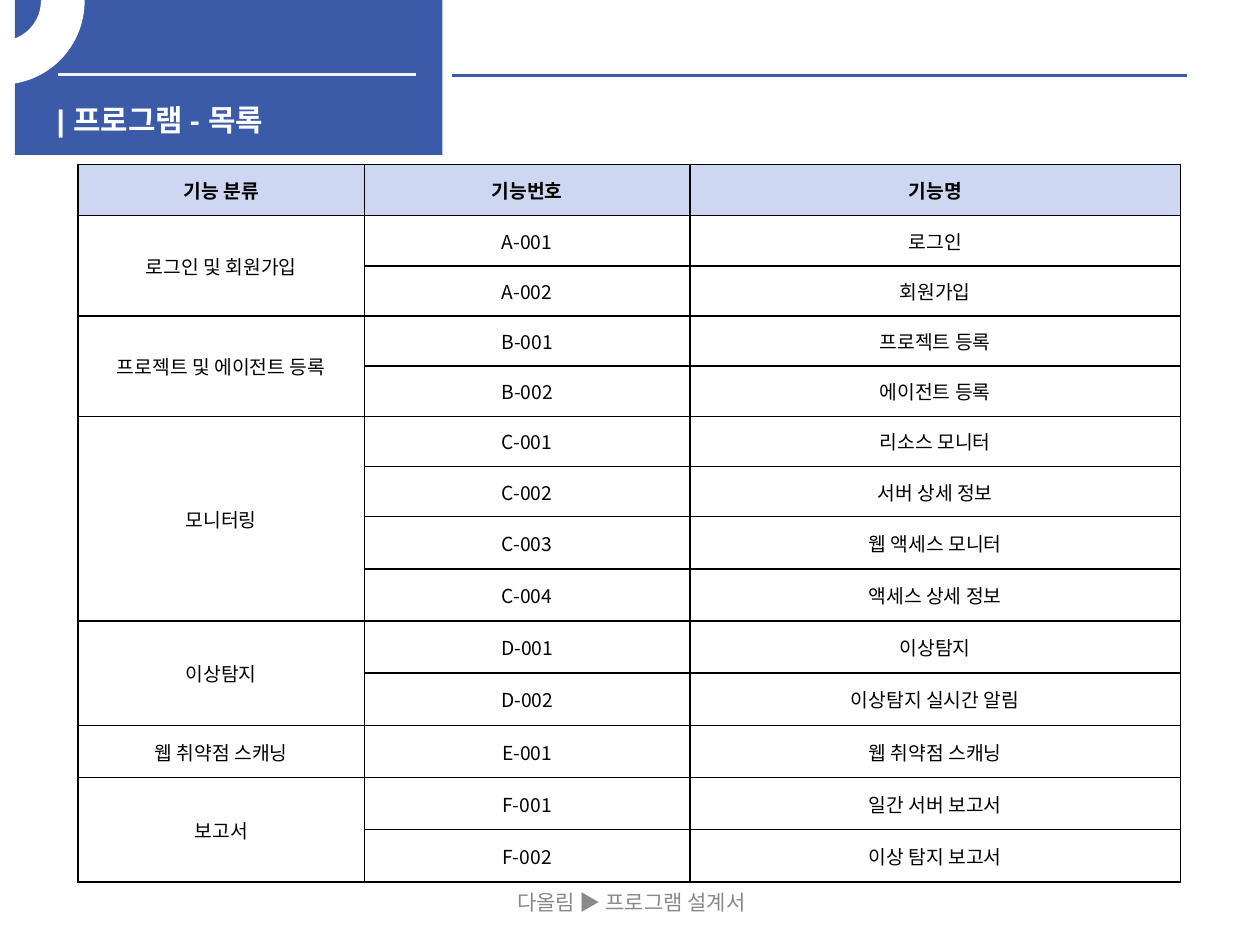
from math import cos, pi, sin

from lxml.etree import SubElement
from pptx import Presentation
from pptx.dml.color import RGBColor
from pptx.enum.shapes import MSO_CONNECTOR, MSO_SHAPE
from pptx.enum.text import MSO_ANCHOR, PP_ALIGN
from pptx.oxml.ns import qn
from pptx.util import Cm, Pt

BLUE, WHITE, BLACK = "3B5AA8", "FFFFFF", "000000"
KOREAN = "Noto Sans CJK KR"

HEADINGS = ["기능 분류", "기능번호", "기능명"]
CATEGORIES = [
    ("로그인 및 회원가입", "A", ["로그인", "회원가입"]),
    ("프로젝트 및 에이전트 등록", "B", ["프로젝트 등록", "에이전트 등록"]),
    ("모니터링", "C", ["리소스 모니터", "서버 상세 정보",
                   "웹 액세스 모니터", "액세스 상세 정보"]),
    ("이상탐지", "D", ["이상탐지", "이상탐지 실시간 알림"]),
    ("웹 취약점 스캐닝", "E", ["웹 취약점 스캐닝"]),
    ("보고서", "F", ["일간 서버 보고서", "이상 탐지 보고서"]),
]
COLUMN_WIDTHS = [5.77, 6.55, 9.88]
ROW_HEIGHTS = [1.03] + [1.01] * 6 + [1.05] * 7


def color(code):
    return RGBColor.from_string(code)


def apply(target, values):
    for name, value in values.items():
        setattr(target, name, value)


class SlideBuilder:
    title_style = {"name": "Arial", "size": Pt(17), "bold": True}
    footer_style = {"name": KOREAN, "size": Pt(12), "bold": False}
    heading_style = {"name": KOREAN, "size": Pt(11), "bold": True}
    body_style = heading_style | {"bold": False}

    def __init__(self, slide):
        self.slide = slide
        self.shapes = slide.shapes

    def add_words(self, frame, content, style, code, align=PP_ALIGN.CENTER):
        paragraph = frame.paragraphs[0]
        paragraph.alignment = align
        run = paragraph.add_run()
        run.text = content
        apply(run.font, style)
        run.font.color.rgb = color(code)
        SubElement(run.font._element, qn("a:ea"), typeface=KOREAN)

    def text(self, box, content, style, code, align, anchor):
        frame = self.shapes.add_textbox(*map(Cm, box)).text_frame
        apply(frame, {"word_wrap": True, "vertical_anchor": anchor})
        self.add_words(frame, content, style, code, align)

    def paint(self, shape, code):
        shape.shadow.inherit = False
        shape.fill.solid()
        shape.fill.fore_color.rgb = color(code)

    def band(self, box, code):
        panel = self.shapes.add_shape(MSO_SHAPE.RECTANGLE, *map(Cm, box))
        self.paint(panel, code)
        panel.line.fill.background()

    def rule(self, left, right, height, code):
        stroke = self.shapes.add_connector(
            MSO_CONNECTOR.STRAIGHT, Cm(left), Cm(height), Cm(right), Cm(height))
        stroke.line.width = Pt(2.25)
        stroke.line.color.rgb = color(code)
        SubElement(stroke._element.spPr, qn("a:effectLst"))

    def quarter_ring(self, center, outer, inner, code, steps=30):
        angles = [pi / 2 * step / steps for step in range(steps + 1)]
        arcs = [(outer, angles[::-1]), (inner, angles)]
        outline = [(Cm(center + radius * cos(angle)), Cm(center + radius * sin(angle)))
                   for radius, sweep in arcs for angle in sweep]
        builder = self.shapes.build_freeform(*outline[0])
        builder.add_line_segments(outline[1:], close=True)
        ring = builder.convert_to_shape()
        self.paint(ring, code)
        ring.line.color.rgb = color(code)
        ring.line.width = Pt(2)

    def border(self, cell, code):
        properties = cell._tc.get_or_add_tcPr()
        for side in ("lnL", "lnR", "lnT", "lnB"):
            edge = SubElement(properties, qn(f"a:{side}"), w=str(Pt(1)))
            fill = SubElement(edge, qn("a:solidFill"))
            SubElement(fill, qn("a:srgbClr"), val=code)

    def tint(self, cell, code, opacity):
        cell.fill.solid()
        cell.fill.fore_color.rgb = color(code)
        shade = cell._tc.tcPr.find(qn("a:solidFill")).find(qn("a:srgbClr"))
        SubElement(shade, qn("a:alpha"), val=str(opacity * 1000))

    def fill_cell(self, cell, content, style):
        cell.vertical_anchor = MSO_ANCHOR.MIDDLE
        self.add_words(cell.text_frame, content, style, BLACK)

    def function_table(self, left, top):
        box = (left, top, sum(COLUMN_WIDTHS), sum(ROW_HEIGHTS))
        grid = self.shapes.add_table(
            len(ROW_HEIGHTS), len(COLUMN_WIDTHS), *map(Cm, box)).table
        apply(grid, {"first_row": False, "horz_banding": False})
        for column, width in zip(grid.columns, COLUMN_WIDTHS):
            column.width = Cm(width)
        for row, height in zip(grid.rows, ROW_HEIGHTS):
            row.height = Cm(height)
        for cell in grid.iter_cells():
            self.border(cell, BLACK)
            cell.fill.background()
        for index, heading in enumerate(HEADINGS):
            self.tint(grid.cell(0, index), "C0CDEF", 79)
            self.fill_cell(grid.cell(0, index), heading, self.heading_style)
        first = 1
        for category, letter, functions in CATEGORIES:
            last = first + len(functions) - 1
            if last > first:
                grid.cell(first, 0).merge(grid.cell(last, 0))
            self.fill_cell(grid.cell(first, 0), category, self.body_style)
            for number, function in enumerate(functions, 1):
                row = first + number - 1
                self.fill_cell(grid.cell(row, 1), f"{letter}-{number:03}", self.body_style)
                self.fill_cell(grid.cell(row, 2), function, self.body_style)
            first = last + 1


def main():
    deck = Presentation()
    apply(deck, {"slide_width": Cm(25.37), "slide_height": Cm(19.02)})
    page = SlideBuilder(deck.slides.add_slide(deck.slide_layouts[6]))
    page.text((8.69, 17.65, 8.05, 1.02), "다올림 ▶ 프로그램 설계서",
              page.footer_style, "898989", PP_ALIGN.CENTER, MSO_ANCHOR.MIDDLE)
    page.band((0.3, 0, 8.61, 3.12), BLUE)
    page.rule(1.17, 8.38, 1.5, "F2F2F2")
    page.rule(9.1, 23.9, 1.52, BLUE)
    page.text((0.89, 1.93, 7.8, 0.81), "| 프로그램 - 목록",
              page.title_style, WHITE, PP_ALIGN.LEFT, MSO_ANCHOR.TOP)
    page.quarter_ring(0.02, 1.65, 0.84, WHITE)
    page.function_table(1.57, 3.31)
    deck.save("out.pptx")


if __name__ == "__main__":
    main()
